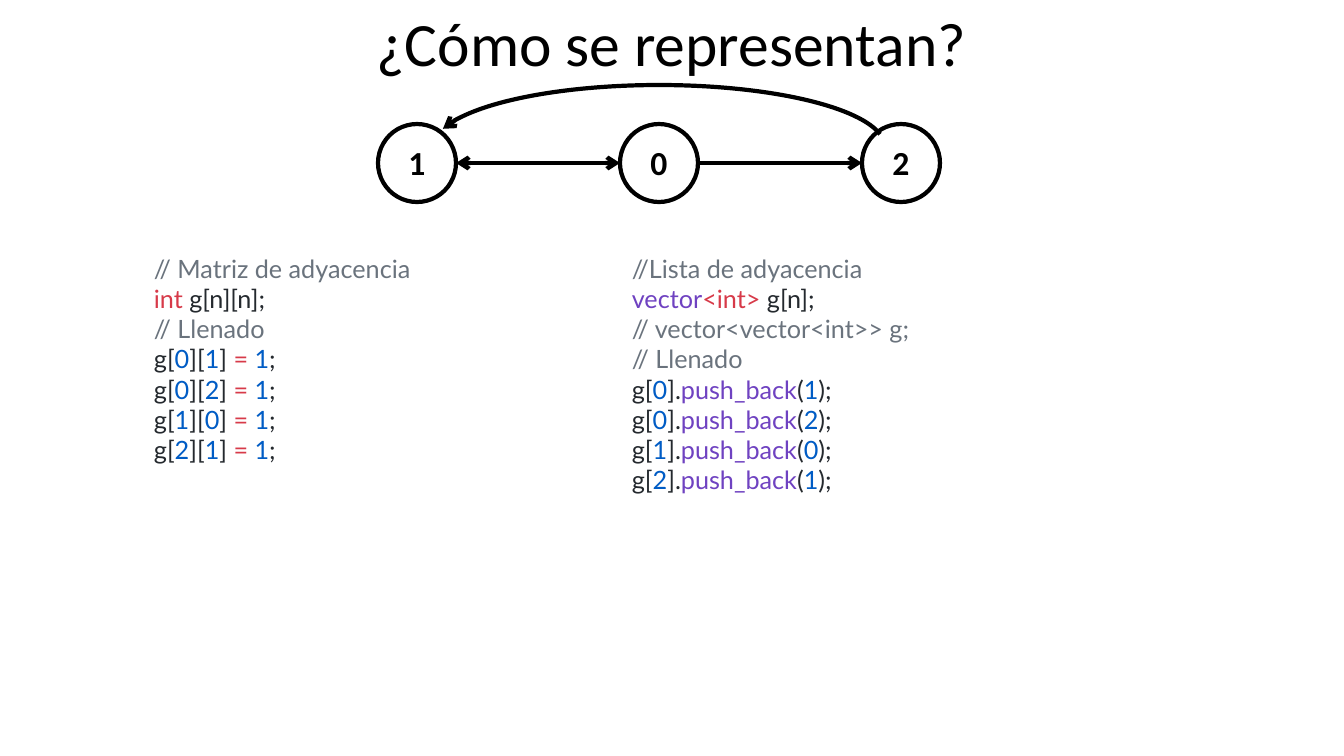
"""Build the slide that shows a directed graph and its two code representations."""
from dataclasses import dataclass

from lxml.etree import SubElement
from pptx import Presentation
from pptx.dml.color import RGBColor
from pptx.enum.shapes import MSO_CONNECTOR as Connector, MSO_SHAPE as Shape
from pptx.enum.text import MSO_AUTO_SIZE as AutoSize, PP_ALIGN as Align
from pptx.oxml.ns import qn
from pptx.util import Emu, Pt

TITLE = "¿Cómo se representan?"
NODES = ["1", "0", "2"]
LINKS = [(0, 1, ("headEnd", "tailEnd")), (1, 2, ("tailEnd",))]
EDGES = [("0", "1"), ("0", "2"), ("1", "0"), ("2", "1")]

MATRIX_CODE = [
    [("// Matriz de adyacencia", "comment")],
    [("int", "keyword"), (" g[n][n];", "plain")],
    [("// Llenado", "comment")],
] + [
    [("g[", "plain"), (start, "number"), ("][", "plain"), (end, "number"),
     ("] ", "plain"), ("= ", "keyword"), ("1", "number"), (";", "plain")]
    for start, end in EDGES
]
LIST_CODE = [
    [("//Lista de adyacencia", "comment")],
    [("vector", "function"), ("<int>", "keyword"), (" g[n];", "plain")],
    [("// vector<vector<int>> g;", "comment")],
    [("// Llenado", "comment")],
] + [
    [("g[", "plain"), (start, "number"), ("].", "plain"), ("push_back", "function"),
     ("(", "plain"), (end, "number"), (");", "plain")]
    for start, end in EDGES
]

SLIDE_SIZE = (1344, 756)
TITLE_BOX = (160, 0, 1023, 85)
MATRIX_BOX = (144, 248, 546, 224)
LIST_BOX = (622, 248, 564, 254)
NODE_LEFT, NODE_TOP, NODE_SIZE, NODE_STEP = 378, 124, 78, 242
LABEL_INSET, LABEL_TOP, LABEL_HEIGHT = 1, 137, 50
ARC_BOX = (433, 85, 452, 124)
ARC_DEGREES = (184.82, 356.68)
ARC_UNITS_PER_DEGREE = 0.6
EMU_PER_PX = 914400 / 100.8


@dataclass(frozen=True)
class Theme:
    """Colours, fonts and sizes of the slide."""
    ink: str = "000000"
    comment: str = "6A737D"
    keyword: str = "D73A49"
    plain: str = "24292E"
    number: str = "005CC5"
    function: str = "6F42C1"
    heading_font: str = "Calibri"
    code_font: str = "Lato"
    title_size: int = 44
    label_size: int = 24
    code_size: int = 18
    line_width: int = 3


THEME = Theme()


def px(*lengths):
    """Turn pixel lengths into EMU."""
    return [Emu(round(length * EMU_PER_PX)) for length in lengths]


def color(name):
    """Look up a theme colour."""
    return RGBColor.from_string(getattr(THEME, name))


def add_text(slide, box, lines, font, size, align=Align.LEFT, bold=False):
    """Add a text box from lines of (text, colour name) runs."""
    frame = slide.shapes.add_textbox(*px(*box)).text_frame
    frame.word_wrap = True
    frame.auto_size = AutoSize.SHAPE_TO_FIT_TEXT
    for index, line in enumerate(lines):
        paragraph = frame.add_paragraph() if index else frame.paragraphs[0]
        paragraph.alignment = align
        for text, color_name in line:
            run = paragraph.add_run()
            run.text = text
            run.font.name = font
            run.font.size = Pt(size)
            run.font.bold = bold
            run.font.color.rgb = color(color_name)


def style_line(shape, arrow_ends=()):
    """Draw the outline in ink, with arrowheads at the given ends."""
    shape.line.color.rgb = color("ink")
    shape.line.width = Pt(THEME.line_width)
    outline = shape.element.spPr.find(qn("a:ln"))
    for end in arrow_ends:
        SubElement(outline, qn(f"a:{end}")).set("type", "arrow")


def add_outline(slide, kind, box, arrow_ends=()):
    """Add an unfilled preset shape."""
    shape = slide.shapes.add_shape(kind, *px(*box))
    shape.shadow.inherit = False
    shape.fill.background()
    style_line(shape, arrow_ends)
    return shape


def add_graph(slide):
    """Add the nodes, their links, their labels and the returning arc."""
    lefts = [NODE_LEFT + index * NODE_STEP for index in range(len(NODES))]
    middle = NODE_TOP + NODE_SIZE // 2
    for left in lefts:
        add_outline(slide, Shape.OVAL, (left, NODE_TOP, NODE_SIZE, NODE_SIZE))
    for start, end, arrow_ends in LINKS:
        points = px(lefts[start] + NODE_SIZE, middle, lefts[end], middle)
        link = slide.shapes.add_connector(Connector.STRAIGHT, *points)
        style_line(link, arrow_ends)
        SubElement(link.element.spPr, qn("a:effectLst"))
    for left, label in zip(lefts, NODES):
        box = (left + LABEL_INSET, LABEL_TOP, NODE_SIZE - 2 * LABEL_INSET, LABEL_HEIGHT)
        add_text(slide, box, [[(label, "ink")]], THEME.heading_font,
                 THEME.label_size, Align.CENTER, True)
    arc = add_outline(slide, Shape.ARC, ARC_BOX, ("headEnd",))
    for index, degrees in enumerate(ARC_DEGREES):
        arc.adjustments[index] = degrees * ARC_UNITS_PER_DEGREE


def main():
    """Build and save the presentation."""
    presentation = Presentation()
    presentation.slide_width, presentation.slide_height = px(*SLIDE_SIZE)
    slide = presentation.slides.add_slide(presentation.slide_layouts[6])
    add_text(slide, TITLE_BOX, [[(TITLE, "ink")]], THEME.heading_font,
             THEME.title_size, Align.CENTER)
    add_graph(slide)
    for box, code in ((MATRIX_BOX, MATRIX_CODE), (LIST_BOX, LIST_CODE)):
        add_text(slide, box, code, THEME.code_font, THEME.code_size)
    presentation.save("out.pptx")


if __name__ == "__main__":
    main()
